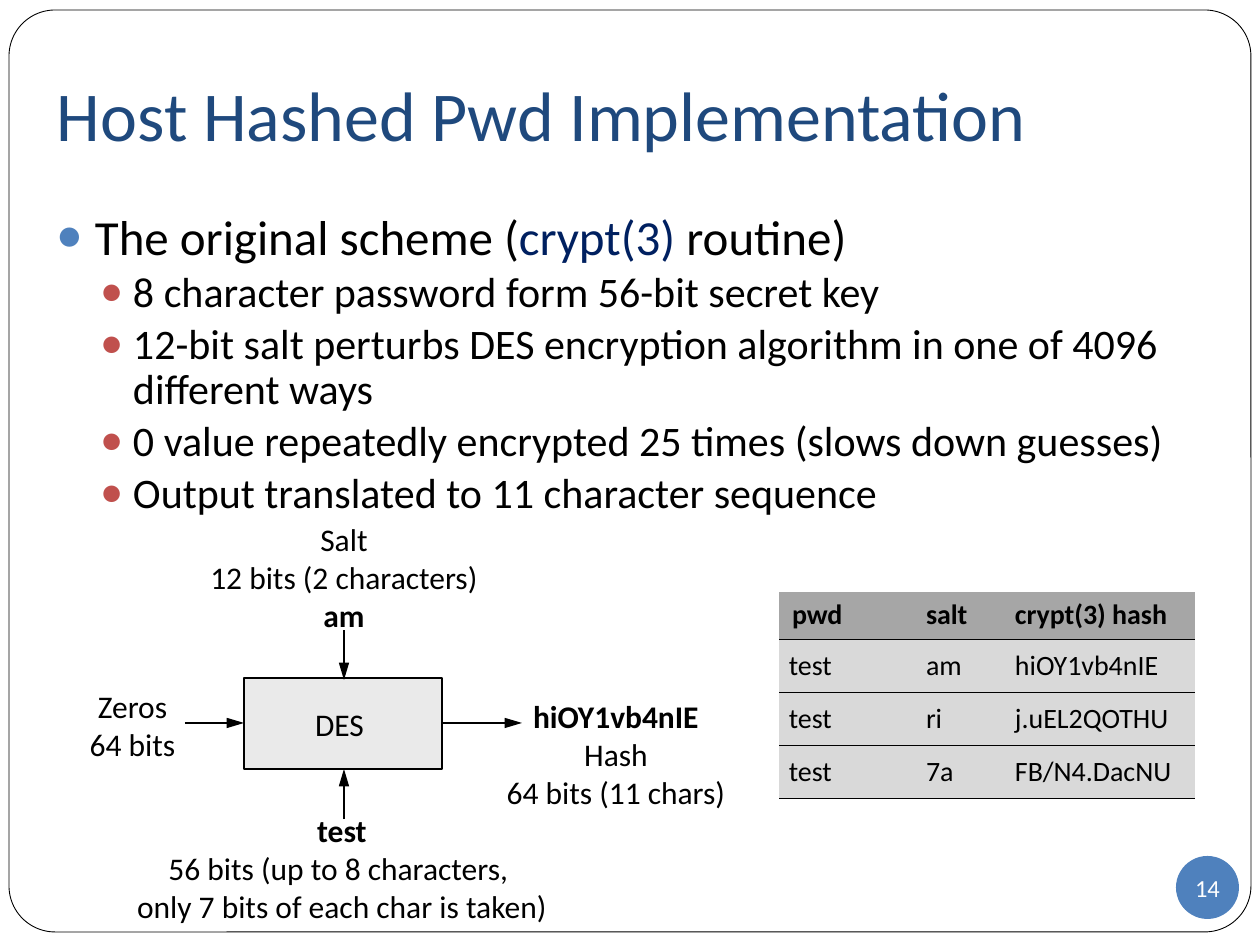
from lxml import etree
from pptx import Presentation
from pptx.dml.color import RGBColor
from pptx.enum.shapes import MSO_CONNECTOR, MSO_SHAPE
from pptx.enum.text import MSO_ANCHOR, PP_ALIGN
from pptx.oxml.ns import qn
from pptx.util import Emu, Pt

EMU_PER_PX = 914400 / 126
FONT = "Calibri"
LEFT, CENTER = PP_ALIGN.LEFT, PP_ALIGN.CENTER
TOP, MIDDLE = MSO_ANCHOR.TOP, MSO_ANCHOR.MIDDLE
ROUNDED, OVAL, RECTANGLE = MSO_SHAPE.ROUNDED_RECTANGLE, MSO_SHAPE.OVAL, MSO_SHAPE.RECTANGLE
STRAIGHT = MSO_CONNECTOR.STRAIGHT

BLACK = RGBColor(0x00, 0x00, 0x00)
WHITE = RGBColor(0xFF, 0xFF, 0xFF)
TITLE_BLUE = RGBColor(0x1F, 0x49, 0x7D)
CODE_NAVY = RGBColor(0x00, 0x20, 0x60)
ACCENT_BLUE = RGBColor(0x4F, 0x81, 0xBD)
ACCENT_RED = RGBColor(0xC0, 0x50, 0x4D)
BOX_GRAY = RGBColor(0xEA, 0xEA, 0xEA)
HEADER_GRAY = RGBColor(0xA6, 0xA6, 0xA6)
ROW_GRAY = RGBColor(0xD9, 0xD9, 0xD9)

BODY = [
    (0, [("The original scheme (", {}), ("crypt(3)", {"color": CODE_NAVY}), (" routine)", {})]),
    (1, "8 character password form 56-bit secret key"),
    (1, "12-bit salt perturbs DES encryption algorithm in one of 4096 different ways"),
    (1, "0 value repeatedly encrypted 25 times (slows down guesses)"),
    (1, "Output translated to 11 character sequence"),
]
# size, line spacing, space before, left margin px, hanging px, bullet color
LEVELS = [(28, 1.0, 5.8, 38, 38, ACCENT_BLUE), (24, 0.9, 3.7, 76, 32, ACCENT_RED)]

BOLD = {"bold": True}
LABELS = [
    ((67, 681, 131, 88), ["Zeros", "64 bits"]),
    ((180, 514, 328, 126), ["Salt\n12 bits (2 characters)", [("am", BOLD)]]),
    ((114, 805, 456, 126),
     [[("test\n", BOLD), ("56 bits (up to 8 characters, \nonly 7 bits of each char is taken)", {})]]),
    ((484, 691, 264, 126), [[("hiOY1vb4nIE", BOLD)], "Hash", "64 bits (11 chars)"]),
]
ARROWS = [
    ((185, 723), (244, 723)),
    ((344, 630), (344, 680)),
    ((344, 819), (344, 769)),
    ((443, 723), (522, 723)),
]

HASH_TABLE = [
    ["pwd", "salt", "crypt(3) hash"],
    ["test", "am", "hiOY1vb4nIE"],
    ["test", "ri", "j.uEL2QOTHU"],
    ["test", "7a", "FB/N4.DacNU"],
]
COLUMN_WIDTHS = [134, 89, 193]
ROW_HEIGHTS = [47, 53, 53, 53]


def px(value):
    return Emu(round(value * EMU_PER_PX))


def add_runs(paragraph, content, size, color=BLACK, bold=False):
    """Write a string or a list of (text, format) pairs; a newline is a line break."""
    runs = [(content, {})] if isinstance(content, str) else content
    for text, changes in runs:
        for index, line in enumerate(text.split("\n")):
            if index:
                paragraph.add_line_break()
            if not line:
                continue
            run = paragraph.add_run()
            run.text = line
            run.font.name = FONT
            run.font.size = Pt(size)
            run.font.bold = changes.get("bold", bold)
            run.font.color.rgb = changes.get("color", color)


def write_text(frame, paragraphs, size=18, color=BLACK, bold=False, align=LEFT,
               anchor=TOP, insets=(13, 6, 13, 6), wrap=True, space_before=0):
    frame.word_wrap = wrap
    frame.vertical_anchor = anchor
    (frame.margin_left, frame.margin_top,
     frame.margin_right, frame.margin_bottom) = map(px, insets)
    for index, content in enumerate(paragraphs):
        paragraph = frame.add_paragraph() if index else frame.paragraphs[0]
        paragraph.alignment = align
        paragraph.space_before = Pt(space_before)
        add_runs(paragraph, content, size, color, bold)


def add_text_box(slide, box, paragraphs, **text_format):
    frame = slide.shapes.add_textbox(*map(px, box)).text_frame
    write_text(frame, paragraphs, **text_format)


def add_box(slide, kind, box, fill, line_width=0):
    shape = slide.shapes.add_shape(kind, *map(px, box))
    shape.shadow.inherit = False
    shape.fill.solid()
    shape.fill.fore_color.rgb = fill
    if line_width:
        shape.line.color.rgb = BLACK
        shape.line.width = Pt(line_width)
    else:
        shape.line.fill.background()
    return shape


def add_arrow(slide, start, end):
    connector = slide.shapes.add_connector(STRAIGHT, *map(px, start + end))
    connector.line.color.rgb = BLACK
    connector.line.width = Pt(1.5)
    line = connector.line._get_or_add_ln()
    etree.SubElement(line, qn("a:tailEnd"), type="triangle", len="lg")
    etree.SubElement(connector._element.spPr, qn("a:effectLst"))


def set_bullet(paragraph, margin, hanging, color):
    properties = paragraph._p.get_or_add_pPr()
    properties.set("marL", str(px(margin)))
    properties.set("indent", str(-px(hanging)))
    bullet_color = etree.SubElement(properties, qn("a:buClr"))
    etree.SubElement(bullet_color, qn("a:srgbClr"), val=str(color))
    etree.SubElement(properties, qn("a:buSzPct"), val="85000")
    etree.SubElement(properties, qn("a:buFont"), typeface=FONT)
    etree.SubElement(properties, qn("a:buChar"), char="●")


def add_bullets(slide, box, items):
    frame = slide.shapes.add_textbox(*map(px, box)).text_frame
    write_text(frame, [])
    for index, (level, content) in enumerate(items):
        size, line_spacing, space_before, margin, hanging, color = LEVELS[level]
        paragraph = frame.add_paragraph() if index else frame.paragraphs[0]
        paragraph.level = level
        paragraph.line_spacing = line_spacing
        paragraph.space_before = Pt(space_before)
        set_bullet(paragraph, margin, hanging, color)
        add_runs(paragraph, content, size)


def set_borders(cell):
    """Rule the bottom edge only; the fill must follow the borders in the XML."""
    properties = cell._tc.get_or_add_tcPr()
    for side in ("a:lnL", "a:lnR", "a:lnT"):
        etree.SubElement(etree.SubElement(properties, qn(side), w="0"), qn("a:noFill"))
    bottom = etree.SubElement(properties, qn("a:lnB"), w=str(Pt(0.34)))
    fill = etree.SubElement(bottom, qn("a:solidFill"))
    etree.SubElement(fill, qn("a:srgbClr"), val=str(BLACK))


def add_hash_table(slide, left, top):
    box = (left, top, sum(COLUMN_WIDTHS), sum(ROW_HEIGHTS))
    table = slide.shapes.add_table(
        len(ROW_HEIGHTS), len(COLUMN_WIDTHS), *map(px, box)).table
    table.horz_banding = False
    for column, width in zip(table.columns, COLUMN_WIDTHS):
        column.width = px(width)
    for row_index, (row, height) in enumerate(zip(table.rows, ROW_HEIGHTS)):
        row.height = px(height)
        header = row_index == 0
        for column_index, cell in enumerate(row.cells):
            side = 10 if column_index == 0 and not header else 13
            set_borders(cell)
            cell.fill.solid()
            cell.fill.fore_color.rgb = HEADER_GRAY if header else ROW_GRAY
            cell.vertical_anchor = TOP if header else MIDDLE
            cell.margin_left = cell.margin_right = px(side)
            cell.margin_top = cell.margin_bottom = px(6)
            add_runs(cell.text_frame.paragraphs[0],
                     HASH_TABLE[row_index][column_index], 16, bold=header)


def main():
    presentation = Presentation()
    presentation.slide_width, presentation.slide_height = px(1260), px(945)
    slide = presentation.slides.add_slide(presentation.slide_layouts[6])

    frame = add_box(slide, ROUNDED, (9, 10, 1242, 922), WHITE, line_width=0.5)
    frame.adjustments[0] = 0.05
    add_text_box(slide, (44, 38, 1181, 158), ["Host Hashed Pwd Implementation"],
                 size=40, color=TITLE_BLUE, anchor=MIDDLE, insets=(13, 6, 13, 13))
    add_bullets(slide, (44, 200, 1181, 709), BODY)

    page_badge = add_box(slide, OVAL, (1176, 856, 63, 63), ACCENT_BLUE)
    write_text(page_badge.text_frame, ["14"], size=14, color=WHITE, align=CENTER,
               anchor=MIDDLE, insets=(0, 0, 0, 0), wrap=False)

    des_box = add_box(slide, RECTANGLE, (244, 678, 198, 91), BOX_GRAY, line_width=1.5)
    write_text(des_box.text_frame, ["DES "], align=CENTER, anchor=MIDDLE, space_before=11.2)
    for start, end in ARROWS:
        add_arrow(slide, start, end)
    for box, paragraphs in LABELS:
        add_text_box(slide, box, paragraphs, align=CENTER)
    add_hash_table(slide, 779, 592)

    presentation.save("out.pptx")


if __name__ == "__main__":
    main()
